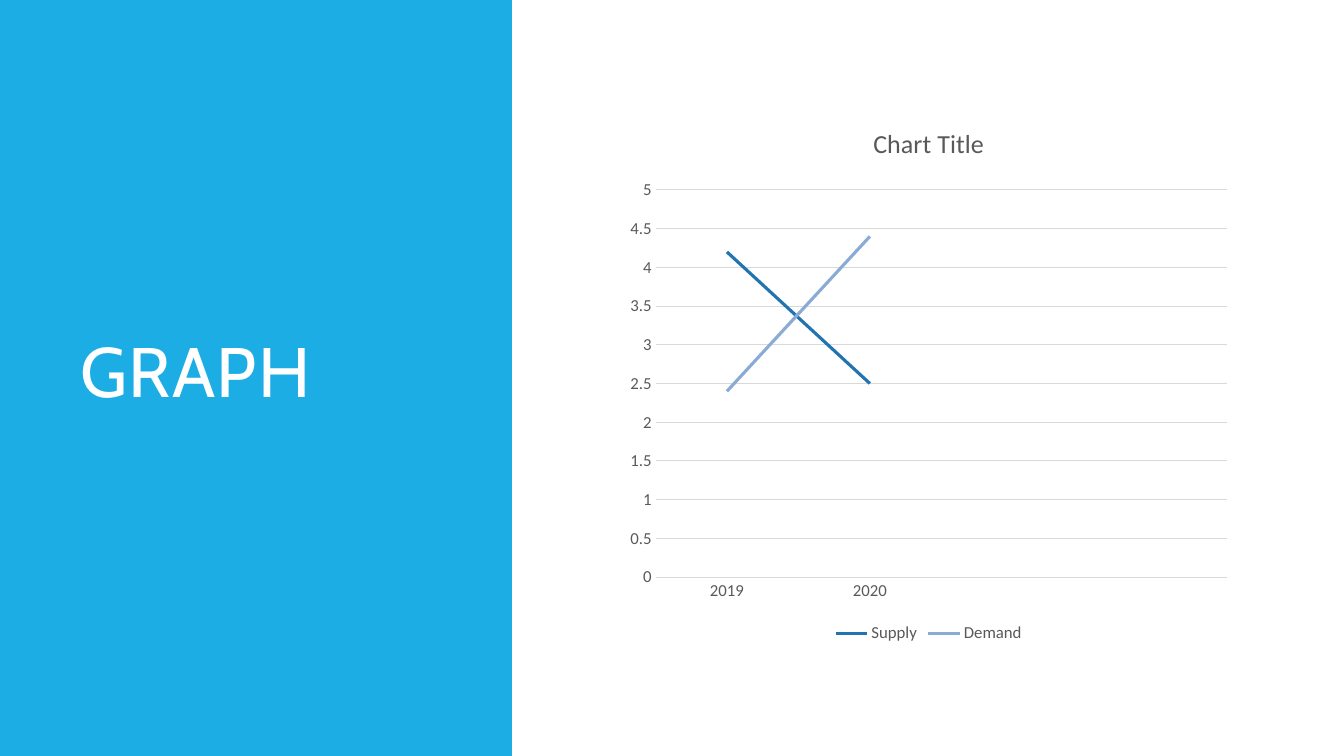
from dataclasses import dataclass

from pptx import Presentation
from pptx import util as u
from pptx.chart import data
from pptx.dml.color import RGBColor
from pptx.enum import chart as ch, shapes, text


@dataclass(frozen=True)
class Theme:
    panel: str = "1CADE4"
    heading: str = "FFFFFF"
    label: str = "595959"
    grid: str = "D9D9D9"
    supply: str = "2274B0"
    demand: str = "89ABD5"
    heading_font: str = "Cabin"
    chart_font: str = "Calibri"
    heading_size: float = 50
    chart_title_size: float = 18.6
    label_size: float = 12
    grid_width: float = 0.75
    series_width: float = 2.25


theme = Theme()


def style_font(font, name, size, color):
    font.name = name
    font.size = u.Pt(size)
    font.bold = False
    font.color.rgb = RGBColor.from_string(color)


def style_line(line, color, width):
    line.color.rgb = RGBColor.from_string(color)
    line.width = u.Pt(width)


deck = Presentation()
deck.slide_width = u.Cm(33.87)
deck.slide_height = u.Cm(19.05)
slide = deck.slides.add_slide(deck.slide_layouts[6])

panel = slide.shapes.add_shape(
    shapes.MSO_SHAPE.RECTANGLE, 0, 0, u.Cm(12.9), deck.slide_height
)
panel.shadow.inherit = False
panel.fill.solid()
panel.fill.fore_color.rgb = RGBColor.from_string(theme.panel)
panel.line.fill.background()

heading = slide.shapes.add_textbox(u.Cm(1.78), u.Cm(1.78), u.Cm(9.5), u.Cm(15.47))
heading.text_frame.word_wrap = True
heading.text_frame.vertical_anchor = text.MSO_ANCHOR.MIDDLE
heading_line = heading.text_frame.paragraphs[0]
heading_line.line_spacing = 0.8
heading_run = heading_line.add_run()
heading_run.text = "GRAPH"
style_font(heading_run.font, theme.heading_font, theme.heading_size, theme.heading)
heading_run.font._element.set("spc", "100")

market = data.CategoryChartData(number_format="General")
market.categories = ["2019", "2020", "", ""]
market.add_series("Supply", [4.2, 2.5, None, None])
market.add_series("Demand", [2.4, 4.4, None, None])
graph = slide.shapes.add_chart(
    ch.XL_CHART_TYPE.LINE, u.Cm(15.57), u.Cm(2.64), u.Cm(15.67), u.Cm(13.67), market
).chart
style_font(graph.font, theme.chart_font, theme.label_size, theme.label)

graph.has_title = True
graph_title = graph.chart_title.text_frame.paragraphs[0].add_run()
graph_title.text = "Chart Title"
style_font(graph_title.font, theme.chart_font, theme.chart_title_size, theme.label)
graph.chart_title.include_in_layout = False

graph.has_legend = True
graph.legend.position = ch.XL_LEGEND_POSITION.BOTTOM
graph.legend.include_in_layout = False
style_font(graph.legend.font, theme.chart_font, theme.label_size, theme.label)

years, amounts = graph.category_axis, graph.value_axis
for axis in (years, amounts):
    axis.major_tick_mark = ch.XL_TICK_MARK.NONE
    axis.minor_tick_mark = ch.XL_TICK_MARK.NONE
    style_font(axis.tick_labels.font, theme.chart_font, theme.label_size, theme.label)
style_line(years.format.line, theme.grid, theme.grid_width)
amounts.format.line.fill.background()
amounts.minimum_scale = 0
amounts.maximum_scale = 5
amounts.major_unit = 0.5
amounts.has_major_gridlines = True
style_line(amounts.major_gridlines.format.line, theme.grid, theme.grid_width)

plot = graph.plots[0]
plot.vary_by_categories = False
for series, color in zip(plot.series, (theme.supply, theme.demand)):
    series.smooth = False
    series.marker.style = ch.XL_MARKER_STYLE.NONE
    style_line(series.format.line, color, theme.series_width)

deck.save("out.pptx")
